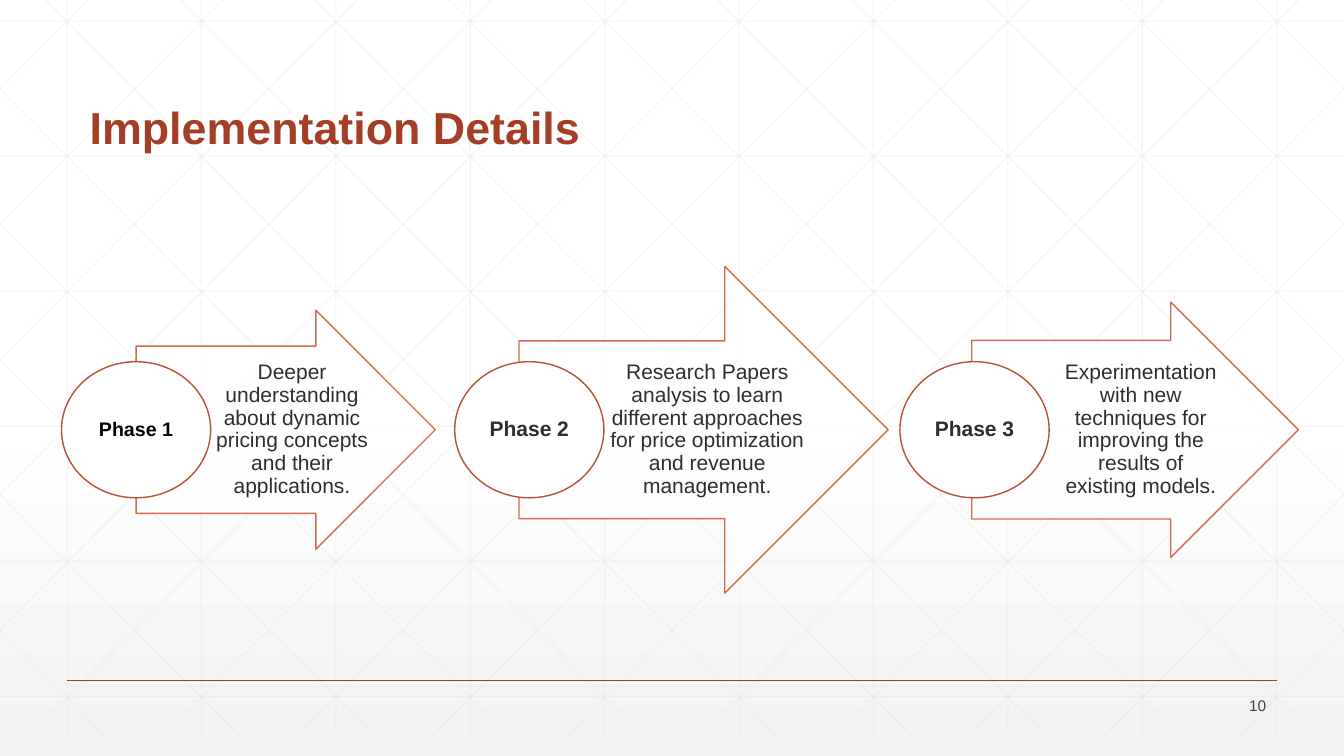
import dataclasses
import typing

import pptx
import pptx.dml.color
import pptx.enum.shapes
import pptx.enum.text
import pptx.oxml.ns
import pptx.shapes.base
import pptx.slide
import pptx.text.text
import pptx.util
from lxml import etree

Cm = pptx.util.Cm
Pt = pptx.util.Pt
ALIGN = pptx.enum.text.PP_ALIGN
ANCHOR = pptx.enum.text.MSO_ANCHOR
SHAPE = pptx.enum.shapes.MSO_SHAPE
LINK = pptx.enum.shapes.MSO_CONNECTOR
qn = pptx.oxml.ns.qn

# All lengths are in centimetres.
WIDTH, HEIGHT = 33.87, 19.05
TOP, LOW = -0.53, 18.52
STEP_X, STEP_Y = 3.387, 3.404
RUN = 18.94
MID = 10.83
DISC_W, DISC_H = 3.76, 3.43
LABEL_W, LABEL_H = 2.67, 2.44
NOTE_H = 4.22

RUST, CORAL, BRICK = "A43E27", "D05A3E", "BC4F35"
INK, BLACK, WHITE, GRAY = "2D2E2D", "000000", "FFFFFF", "D8D8D8"


@dataclasses.dataclass
class Box:
    left: float
    top: float
    width: float
    height: float

    def emu(self) -> list[pptx.util.Length]:
        return [Cm(side) for side in dataclasses.astuple(self)]


@dataclasses.dataclass
class Style:
    size: float
    ink: str
    bold: bool = False
    align: typing.Any = ALIGN.CENTER
    anchor: typing.Any = ANCHOR.MIDDLE
    pads: tuple[float, float, float, float] = (0.25, 0.13, 0.25, 0.13)
    space: float = 0.9


@dataclasses.dataclass
class Phase:
    name: str
    text: str
    disc: float
    arrow: float
    width: float
    height: float
    shaft: float
    note: float
    note_w: float
    label: Style


NOTE = Style(15, INK, pads=(0.1, 0.03, 0.05, 0.03))
LABEL = Style(15, INK, True, pads=(0.05, 0.05, 0.05, 0.05))
FIRST = dataclasses.replace(LABEL, size=14, ink=BLACK)
TITLE = Style(32, RUST, True, ALIGN.LEFT, ANCHOR.BOTTOM)
NUMBER = Style(11, "414241", align=ALIGN.RIGHT, space=1.0)

PHASES = [
    Phase("Phase 1",
          "Deeper understanding about dynamic pricing concepts and their applications.",
          1.55, 3.43, 7.54, 6.02, 0.7, 5.33, 4.01, FIRST),
    Phase("Phase 2",
          "Research Papers analysis to learn different approaches for price "
          "optimization and revenue management.",
          11.46, 13.08, 9.3, 8.23, 0.544, 15.21, 5.18, LABEL),
    Phase("Phase 3",
          "Experimentation with new techniques for improving the results of "
          "existing models.",
          22.68, 24.49, 8.23, 6.43, 0.7, 26.72, 4.01, LABEL),
]


def tint(code: str) -> pptx.dml.color.RGBColor:
    return pptx.dml.color.RGBColor.from_string(code)


def put(target: typing.Any, values: dict[str, typing.Any]) -> None:
    """Set each named attribute of the target."""
    for name, value in values.items():
        setattr(target, name, value)


def fade(shape: pptx.shapes.base.BaseShape, opacity: int) -> None:
    """Make the fill and line colours of a shape see-through."""
    for node in list(shape.element.spPr.iter(qn("a:srgbClr"))):
        etree.SubElement(node, qn("a:alpha")).set("val", str(opacity * 1000))


def write(frame: pptx.text.text.TextFrame, text: str, style: Style) -> None:
    sides = ("margin_left", "margin_top", "margin_right", "margin_bottom")
    put(frame, dict(zip(sides, map(Cm, style.pads))))
    put(frame, {"word_wrap": True, "vertical_anchor": style.anchor,
                "auto_size": pptx.enum.text.MSO_AUTO_SIZE.NONE})
    para = frame.paragraphs[0]
    put(para, {"alignment": style.align, "line_spacing": style.space,
               "space_before": Pt(0)})
    run = para.add_run()
    run.text = text
    put(run.font, {"name": "Arial", "size": Pt(style.size), "bold": style.bold})
    run.font.color.rgb = tint(style.ink)


def note(slide: pptx.slide.Slide, box: Box, text: str, style: Style) -> None:
    write(slide.shapes.add_textbox(*box.emu()).text_frame, text, style)


def rule(slide: pptx.slide.Slide, ends: tuple[float, float, float, float],
         code: str, width: float, opacity: int = 100) -> None:
    """Draw a straight line between two points."""
    wire = slide.shapes.add_connector(LINK.STRAIGHT, *map(Cm, ends))
    wire.line.color.rgb = tint(code)
    wire.line.width = Pt(width)
    etree.SubElement(wire.element.spPr, qn("a:effectLst"))
    if opacity < 100:
        fade(wire, opacity)


def solid(slide: pptx.slide.Slide, kind: typing.Any, box: Box,
          edge: str) -> typing.Any:
    """Add a white preset shape with a thin outline."""
    shape = slide.shapes.add_shape(kind, *box.emu())
    shape.shadow.inherit = False
    shape.fill.solid()
    shape.fill.fore_color.rgb = tint(WHITE)
    shape.line.color.rgb = tint(edge)
    shape.line.width = Pt(1)
    return shape


def slants() -> typing.Iterator[tuple[float, float, float, float]]:
    """Yield falling diagonals cut at the slide sides, each with its mirror."""
    pitch = (LOW - TOP) / RUN
    for step in range(-5, 10):
        start = 0.63 + step * STEP_X
        left, right = max(start, 0), min(start + RUN, WIDTH)
        high, deep = (TOP + (x - start) * pitch for x in (left, right))
        yield left, high, right, deep
        yield WIDTH - left, high, WIDTH - right, deep


def backdrop(slide: pptx.slide.Slide) -> None:
    fill = slide.background.fill
    fill.gradient()
    fill.gradient_angle = 270
    for stop, spot, code in zip(fill.gradient_stops, (0.53, 1), (WHITE, "F2F2F2")):
        stop.position = spot
        stop.color.rgb = tint(code)
    cols = [1.69 + i * STEP_X for i in range(10)]
    rows = [0.53 + i * STEP_Y for i in range(6)]
    lines = [(x, TOP, x, LOW) for x in cols]
    lines += [(0, y, WIDTH, y) for y in rows]
    lines += slants()
    for ends in lines:
        rule(slide, ends, GRAY, 0.75, 25)
    rule(slide, (1.69, 17.15, 32.17, 17.15), RUST, 1)


def center(left: float, width: float, height: float) -> Box:
    """Place a box on the middle line of the phases."""
    return Box(left, MID - height / 2, width, height)


def draw(slide: pptx.slide.Slide, phase: Phase) -> None:
    arrow = solid(slide, SHAPE.RIGHT_ARROW,
                  center(phase.arrow, phase.width, phase.height), CORAL)
    arrow.adjustments[0] = phase.shaft
    arrow.adjustments[1] = 0.5
    fade(arrow, 90)
    note(slide, center(phase.note, phase.note_w, NOTE_H), phase.text, NOTE)
    solid(slide, SHAPE.OVAL, center(phase.disc, DISC_W, DISC_H), BRICK)
    inset = (DISC_W - LABEL_W) / 2
    note(slide, center(phase.disc + inset, LABEL_W, LABEL_H), phase.name, phase.label)


def main() -> None:
    deck = pptx.Presentation()
    put(deck, {"slide_width": Cm(WIDTH), "slide_height": Cm(HEIGHT)})
    slide = deck.slides.add_slide(deck.slide_layouts[5])
    backdrop(slide)
    title = slide.shapes.title
    spots = Box(2.01, 0.84, 26.67, 3.18).emu()
    put(title, dict(zip(("left", "top", "width", "height"), spots)))
    write(title.text_frame, "Implementation Details", TITLE)
    slide.shapes.element.append(title.element)
    for phase in PHASES:
        draw(slide, phase)
    note(slide, Box(29.62, 17.48, 2.54, 0.61), "10", NUMBER)
    deck.save("out.pptx")


if __name__ == "__main__":
    main()
